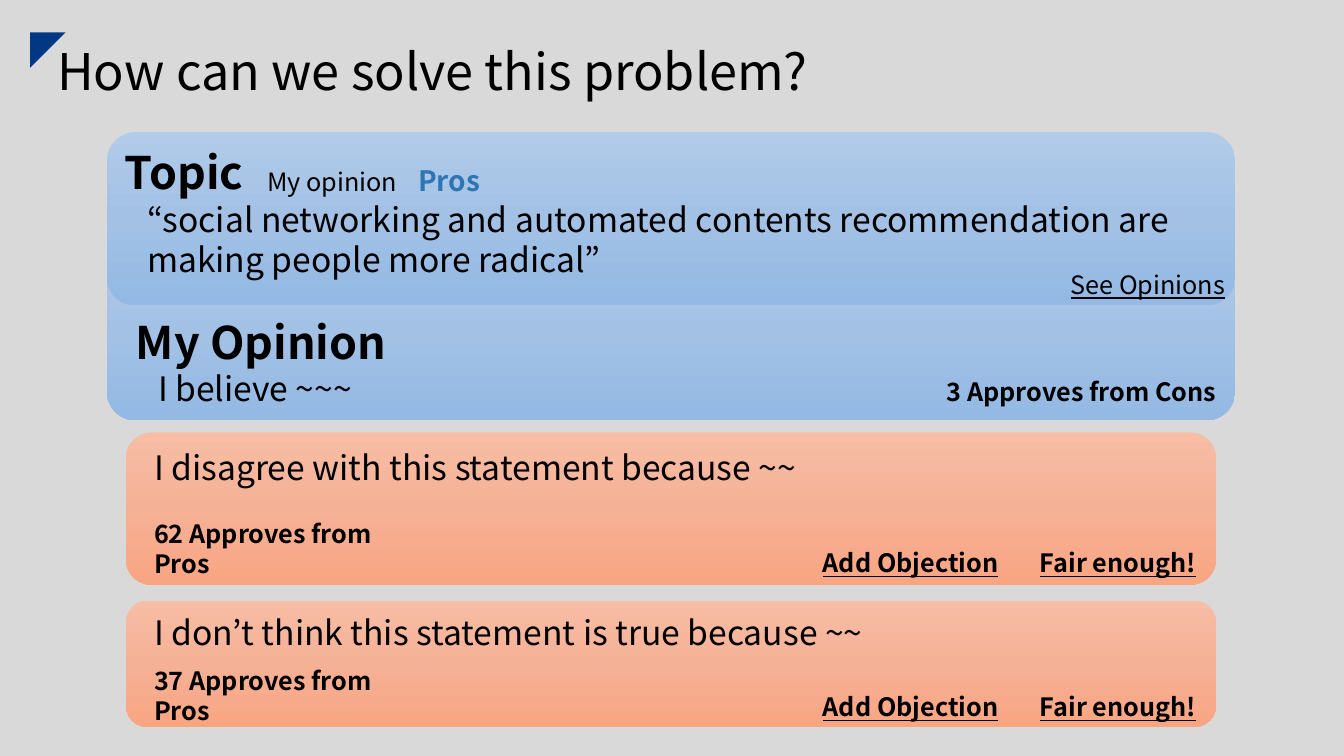
import copy
from dataclasses import dataclass

import pptx
import pptx.dml.color
import pptx.enum.shapes
import pptx.enum.text
import pptx.oxml.ns
import pptx.util

PX = 9144
FONT = "Noto Sans CJK KR"
BLACK = "000000"
ALIGN = pptx.enum.text.PP_ALIGN
SHAPE = pptx.enum.shapes.MSO_SHAPE
BLUE = ("B1CBE9", "A3C1E5", "93B9E4")
ORANGE = ("F7BDA5", "F5B196", "F8A582")


@dataclass
class Box:
    left: int
    top: int
    width: int
    height: int

    def emu(self) -> list[int]:
        return [v * PX for v in (self.left, self.top, self.width, self.height)]


@dataclass
class Card:
    box: Box
    colours: tuple[str, str, str]


@dataclass
class Objection:
    card: Box
    statement: str
    statement_top: int
    approves: str
    approves_top: int
    actions_top: int


CARDS = [
    Card(Box(106, 245, 1119, 172), BLUE),
    Card(Box(106, 131, 1119, 172), BLUE),
]
OBJECTIONS = [
    Objection(Box(125, 429, 1081, 151), "I disagree with this statement because ~~", 438,
              "62 Approves from Pros", 509, 538),
    Objection(Box(125, 596, 1081, 125), "I don’t think this statement is true because ~~", 602,
              "37 Approves from Pros", 655, 681),
]


def rgb(colour: str) -> pptx.dml.color.RGBColor:
    return pptx.dml.color.RGBColor.from_string(colour)


def add_shape(slide, kind, box: Box):
    s = slide.shapes.add_shape(kind, *box.emu())
    s.shadow.inherit = False
    s.line.fill.background()
    return s


def add_card(slide, card: Card) -> None:
    s = add_shape(slide, SHAPE.ROUNDED_RECTANGLE, card.box)
    s.fill.gradient()
    s.fill.gradient_angle = 270
    stops = s._element.spPr.find(".//" + pptx.oxml.ns.qn("a:gsLst"))
    middle = copy.deepcopy(stops[0])
    middle.set("pos", "50000")
    stops.insert(1, middle)
    for stop, colour in zip(s.fill.gradient_stops, card.colours):
        stop.color.rgb = rgb(colour)


def add_box(slide, box: Box):
    tf = slide.shapes.add_textbox(*box.emu()).text_frame
    tf.word_wrap = True
    return tf


def add_run(p, text: str, *, size: int = 18, bold: bool = False,
            underline: bool = False, colour: str = BLACK) -> None:
    r = p.add_run()
    r.text = text
    r.font.name = FONT
    r.font.size = pptx.util.Pt(size)
    r.font.bold = bold
    r.font.underline = underline
    r.font.color.rgb = rgb(colour)


def add_text(slide, box: Box, text: str, *, align=ALIGN.LEFT, **style):
    tf = add_box(slide, box)
    p = tf.paragraphs[0]
    p.alignment = align
    add_run(p, text, **style)
    return tf


def add_headed_text(slide, box: Box, heading: str, lines: list[str]) -> None:
    tf = add_text(slide, box, heading, size=32, bold=True)
    for line in lines:
        p = tf.add_paragraph()
        p._p.get_or_add_pPr().set("marL", str(22 * PX))
        add_run(p, line, size=24)


def add_objection(slide, item: Objection) -> None:
    add_card(slide, Card(item.card, ORANGE))
    add_text(slide, Box(143, item.statement_top, 858, 50), item.statement, size=24)
    add_text(slide, Box(143, item.approves_top, 296, 40), item.approves, bold=True)
    for left, action in ((704, "Add Objection"), (900, "Fair enough!")):
        add_text(slide, Box(left, item.actions_top, 296, 40), action,
                 align=ALIGN.RIGHT, bold=True, underline=True)


def main() -> None:
    prs = pptx.Presentation()
    prs.slide_width = 1333 * PX
    prs.slide_height = 750 * PX
    slide = prs.slides.add_slide(prs.slide_layouts[6])
    slide.background.fill.solid()
    slide.background.fill.fore_color.rgb = rgb("D9D9D9")

    title = add_text(slide, Box(47, 43, 1077, 61), "How can we solve this problem?", size=36)
    title.vertical_anchor = pptx.enum.text.MSO_ANCHOR.MIDDLE
    title.paragraphs[0].line_spacing = 0.9
    corner = add_shape(slide, SHAPE.RIGHT_TRIANGLE, Box(30, 32, 35, 35))
    corner.rotation = 90
    corner.fill.solid()
    corner.fill.fore_color.rgb = rgb("003883")

    for card in CARDS:
        add_card(slide, card)
    add_headed_text(slide, Box(114, 139, 1179, 145), "Topic", [
        "“social networking and automated contents recommendation are",
        "making people more radical”",
    ])
    stance = add_text(slide, Box(255, 157, 535, 44), "My opinion\t")
    add_run(stance.paragraphs[0], "Pros", size=20, bold=True, colour="2E75B6")
    add_text(slide, Box(788, 262, 437, 40), "See Opinions", align=ALIGN.RIGHT, underline=True)
    add_text(slide, Box(929, 368, 296, 40), "3 Approves from Cons", bold=True)
    add_headed_text(slide, Box(125, 307, 1168, 104), "My Opinion", ["I believe ~~~"])

    for item in OBJECTIONS:
        add_objection(slide, item)
    prs.save("out.pptx")


if __name__ == "__main__":
    main()
